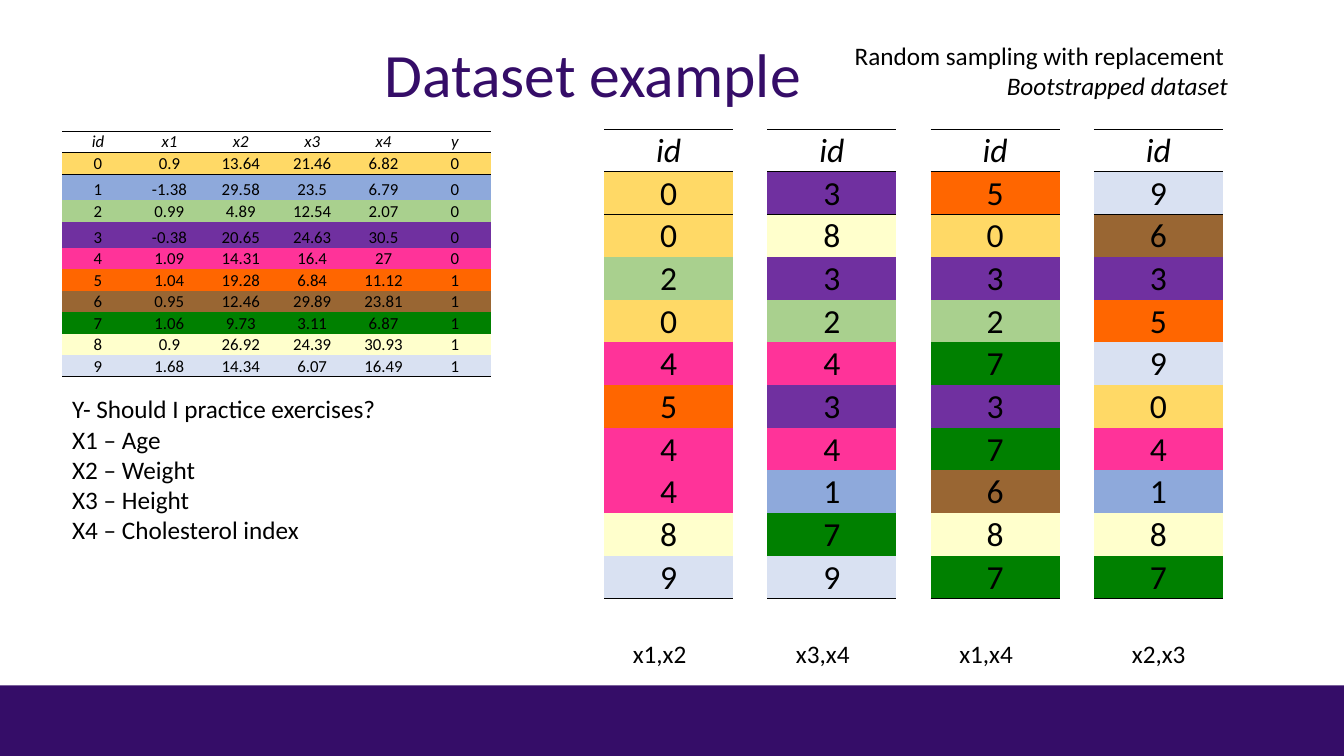
from dataclasses import dataclass

from lxml import etree
from pptx import Presentation
from pptx.dml.color import RGBColor
from pptx.enum.shapes import MSO_SHAPE as Shape
from pptx.enum.text import MSO_ANCHOR as Anchor, MSO_AUTO_SIZE as AutoSize, PP_ALIGN as Align
from pptx.oxml.ns import qn
from pptx.util import Pt


@dataclass(frozen=True)
class Theme:
    font: str = "Calibri"
    purple: str = "350D68"
    black: str = "000000"
    samples: tuple = ("FFD966", "8EA9DB", "A9D08E", "7030A0", "FF3399",
                      "FF6600", "996633", "008000", "FFFFCC", "D9E1F2")
    title: float = 44
    sampled: float = 24
    body: float = 18
    data: float = 12
    rule: float = 0.5
    plain_style: str = "{2D5ABB26-0587-4C30-8999-92F81FD0307C}"


THEME = Theme()

FIELDS = ("id", "x1", "x2", "x3", "x4", "y")
DATASET = (
    (0, 0.9, 13.64, 21.46, 6.82, 0),
    (1, -1.38, 29.58, 23.5, 6.79, 0),
    (2, 0.99, 4.89, 12.54, 2.07, 0),
    (3, -0.38, 20.65, 24.63, 30.5, 0),
    (4, 1.09, 14.31, 16.4, 27, 0),
    (5, 1.04, 19.28, 6.84, 11.12, 1),
    (6, 0.95, 12.46, 29.89, 23.81, 1),
    (7, 1.06, 9.73, 3.11, 6.87, 1),
    (8, 0.9, 26.92, 24.39, 30.93, 1),
    (9, 1.68, 14.34, 6.07, 16.49, 1),
)
TALL_IDS = (1, 3)
# Sampled ids, feature pair, and the pair's indent from its column
BOOTSTRAPS = (
    ((0, 0, 2, 0, 4, 5, 4, 4, 8, 9), "x1,x2", 13.3),
    ((3, 8, 3, 2, 4, 3, 4, 1, 7, 9), "x3,x4", 13.3),
    ((5, 0, 3, 2, 7, 3, 7, 6, 8, 7), "x1,x4", 13.3),
    ((9, 6, 3, 5, 9, 0, 4, 1, 8, 7), "x2,x3", 20),
)
LEGEND = ("Y- Should I practice exercises?", "X1 – Age", "X2 – Weight",
          "X3 – Height", "X4 – Cholesterol index")


def write(frame, text, *, size=THEME.body, color=THEME.black, italic=False, align=Align.LEFT):
    """Fill a text frame, one paragraph for each line of text."""
    frame.text = text
    for paragraph in frame.paragraphs:
        paragraph.alignment = align
        for run in paragraph.runs:
            run.font.name = THEME.font
            run.font.size = Pt(size)
            run.font.italic = italic
            run.font.color.rgb = RGBColor.from_string(color)


def add_text(slide, left, top, width, height, text, **style):
    frame = slide.shapes.add_textbox(Pt(left), Pt(top), Pt(width), Pt(height)).text_frame
    frame.word_wrap = True
    write(frame, text, **style)


def add_plain_table(slide, left, top, widths, heights):
    """Add a table with no style banding and with the given track sizes."""
    frame = slide.shapes.add_table(len(heights), len(widths), Pt(left), Pt(top),
                                   Pt(sum(widths)), Pt(sum(heights)))
    next(frame.element.iter(qn("a:tableStyleId"))).text = THEME.plain_style
    table = frame.table
    table.first_row = table.horz_banding = False
    for column, width in zip(table.columns, widths):
        column.width = Pt(width)
    for row, height in zip(table.rows, heights):
        row.height = Pt(height)
    for cell in table.iter_cells():
        cell.fill.background()
    return table


def rule_cell(cell, edges):
    """Draw thin rules on the named edges, given in schema order."""
    properties = cell._tc.get_or_add_tcPr()
    for position, edge in enumerate(edges):
        line = etree.Element(qn(f"a:{edge}"), w=str(Pt(THEME.rule)))
        fill = etree.SubElement(line, qn("a:solidFill"))
        etree.SubElement(fill, qn("a:srgbClr"), val=THEME.black)
        properties.insert(position, line)


def fill_column(table, column, header, values, ids, size):
    """Write a header and values, each value on the colour of its sample id."""
    for row, text in enumerate((header, *values)):
        cell = table.cell(row, column)
        cell.vertical_anchor = Anchor.BOTTOM
        cell.margin_left = cell.margin_right = cell.margin_top = Pt(0.7)
        cell.margin_bottom = Pt(0)
        write(cell.text_frame, str(text), size=size, italic=row == 0, align=Align.CENTER)
        if row == 0:
            rule_cell(cell, ("lnT", "lnB"))
            continue
        cell.fill.solid()
        cell.fill.fore_color.rgb = RGBColor.from_string(THEME.samples[ids[row - 1]])
        if row == 1:
            rule_cell(cell, ("lnT",))
        elif row == len(values):
            rule_cell(cell, ("lnB",))


def add_title(slide, left, top, width, height):
    title = slide.shapes.title
    title.left, title.top, title.width, title.height = map(Pt, (left, top, width, height))
    title.text_frame.vertical_anchor = Anchor.MIDDLE
    title.text_frame.auto_size = AutoSize.NONE
    write(title.text_frame, "Dataset example", size=THEME.title, color=THEME.purple,
          align=Align.CENTER)


def add_dataset(slide, left, top, width):
    """Place the full dataset with its legend below."""
    heights = [15.3] + [18.7 if sample[0] in TALL_IDS else 15.3 for sample in DATASET]
    table = add_plain_table(slide, left, top, [width / len(FIELDS)] * len(FIELDS), heights)
    ids, *_ = columns = list(zip(*DATASET))
    for column, (field, values) in enumerate(zip(FIELDS, columns)):
        fill_column(table, column, field, values, ids, THEME.data)
    add_text(slide, left, top + sum(heights) + 9, 252, 116.6, "\n".join(LEGEND))


def add_bootstraps(slide, left, top, column_width, gap):
    """Place the sampled id columns with their feature pairs below."""
    pitch = column_width + gap
    widths = ([column_width, gap] * len(BOOTSTRAPS))[:-1]
    table = add_plain_table(slide, left, top, widths, [30.5] * (len(DATASET) + 1))
    for index, (ids, features, indent) in enumerate(BOOTSTRAPS):
        fill_column(table, 2 * index, "id", ids, ids, THEME.sampled)
        add_text(slide, left + index * pitch + indent, top + 360, 70.6, 29, features)


def add_sampling_note(slide, left, top):
    add_text(slide, left, top, 291, 29, "Random sampling with replacement")
    add_text(slide, left + 108.7, top + 21.6, 175, 29, "Bootstrapped dataset", italic=True)


def add_footer_band(slide, top, width, height):
    band = slide.shapes.add_shape(Shape.RECTANGLE, Pt(0), Pt(top), Pt(width), Pt(height))
    band.shadow.inherit = False
    band.fill.solid()
    band.fill.fore_color.rgb = RGBColor.from_string(THEME.purple)
    band.line.fill.background()


def main():
    deck = Presentation()
    deck.slide_width, deck.slide_height = Pt(960), Pt(540)
    slide = deck.slides.add_slide(deck.slide_layouts[5])
    add_footer_band(slide, 489.6, 960, 50.4)
    add_title(slide, 9.4, 0, 828, 104.4)
    add_dataset(slide, 44.5, 93.6, 306)
    add_sampling_note(slide, 603.4, 25.2)
    add_bootstraps(slide, 431.6, 92.2, 92.1, 24.5)
    deck.save("out.pptx")


if __name__ == "__main__":
    main()
